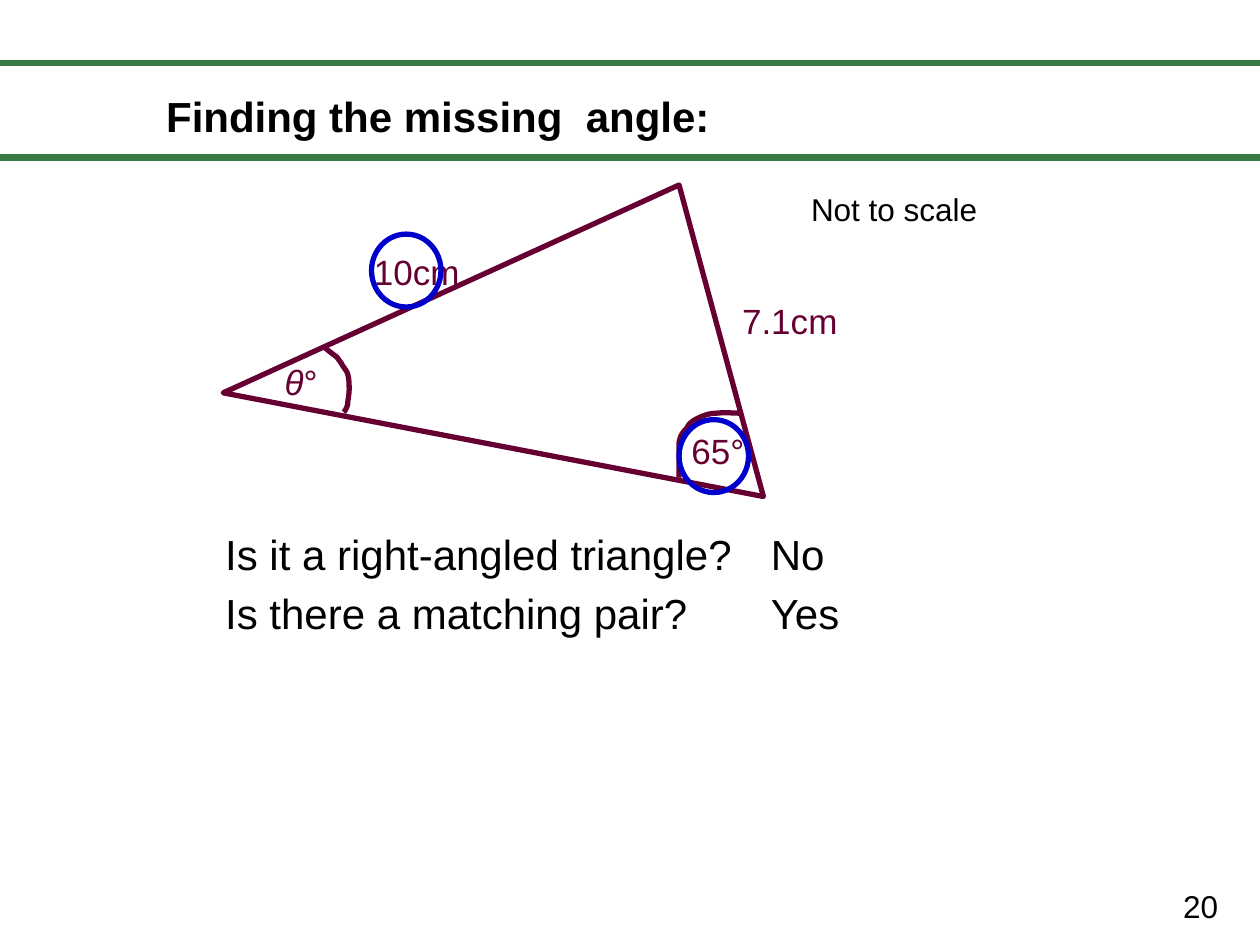
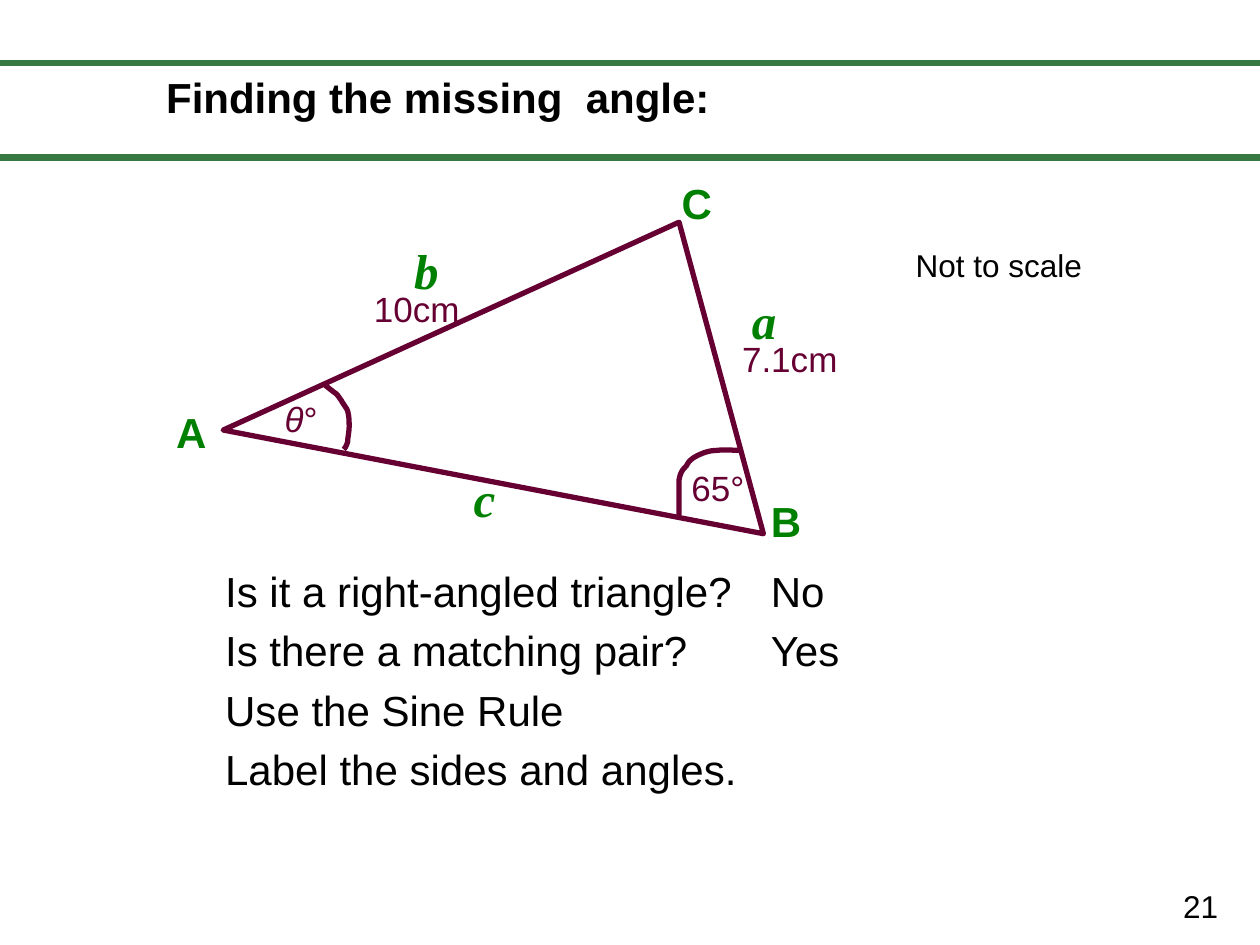
"""Build two slides on finding a missing angle with the sine rule."""
import pptx
import pptx.dml.color
import pptx.enum.shapes
import pptx.oxml.ns
import pptx.util
from lxml import etree

Cm, Pt = pptx.util.Cm, pptx.util.Pt
RGBColor = pptx.dml.color.RGBColor
BLACK = RGBColor(0x00, 0x00, 0x00)
BAND = RGBColor(0x37, 0x79, 0x40)
PLUM = RGBColor(0x66, 0x00, 0x33)
GREEN = RGBColor(0x00, 0x80, 0x00)
BLUE = RGBColor(0x00, 0x00, 0xCC)

BODY = {"name": "Arial", "size": Pt(24), "color": BLACK}
TITLE = {**BODY, "bold": True}
NOTE = {**BODY, "size": Pt(18)}
MEASURE = {**BODY, "size": Pt(20), "color": PLUM}
VERTEX = {**TITLE, "color": GREEN}
SIDE = {**VERTEX, "name": "Times New Roman", "size": Pt(28), "italic": True}

SLIDE_W, SLIDE_H = 25.4, 19.05
BAND_TOPS = (1.27, 3.18)
ROW_TOP, ROW_PITCH = 10.52, 1.2
QUESTION_X, ANSWER_X = 4.29, 15.29
TRIANGLE = [(4.5, 7.92), (13.69, 3.73), (15.39, 10.01)]
ARCS = [
    [(14.91, 8.33), (14.83, 8.33), (14.58, 8.31), (14.45, 8.33), (14.3, 8.33),
     (14.17, 8.38), (14.07, 8.43), (13.97, 8.48), (13.89, 8.53), (13.84, 8.64),
     (13.77, 8.71), (13.72, 8.76), (13.69, 8.92), (13.69, 9.09), (13.69, 9.47),
     (13.69, 9.63)],
    [(6.55, 7.01), (6.58, 7.04), (6.71, 7.14), (6.78, 7.19), (6.83, 7.24),
     (6.83, 7.26), (6.88, 7.32), (6.91, 7.39), (6.99, 7.47), (7.01, 7.54),
     (7.04, 7.65), (7.04, 7.75), (7.04, 7.85), (7.04, 7.95), (7.01, 8.08),
     (7.01, 8.15), (6.99, 8.23), (6.96, 8.28), (6.93, 8.31)],
]
MEASURES = [("10cm", 7.29, 4.93), ("7.1cm", 14.71, 5.92), ("65°", 13.69, 8.53), ("θ°", 5.49, 7.14)]
QUESTIONS = [("Is it a right-angled triangle?", "No"), ("Is there a matching pair?", "Yes")]

SLIDES = [
    {"number": "20", "title_top": 1.7, "shift": 0, "note": (16.1, 3.71),
     "rows": QUESTIONS, "rings": [(13.69, 8.46), (7.49, 4.72)],
     "vertices": [], "sides": []},
    {"number": "21", "title_top": 1.32, "shift": 0.75, "note": (18.21, 4.83),
     "rows": QUESTIONS + [("Use the Sine Rule", ""), ("Label the sides and angles.", "")],
     "rings": [],
     "vertices": [("A", 3.3, 8.08), ("B", 15.29, 9.86), ("C", 13.49, 3.45)],
     "sides": [("a", 14.91, 5.74), ("b", 8.1, 4.72), ("c", 9.3, 9.32)]},
]


def set_font(font, formats):
    for key, value in formats.items():
        if key == "color":
            font.color.rgb = value
        else:
            setattr(font, key, value)


def add_text(s, text, x, y, w, h, formats):
    tf = s.shapes.add_textbox(Cm(x), Cm(y), Cm(w), Cm(h)).text_frame
    tf.word_wrap = True
    p = tf.paragraphs[0]
    parts = [("θ", True), (text[1:], False)] if text.startswith("θ") else [(text, None)]
    for part, italic in parts:
        r = p.add_run()
        r.text = part
        set_font(r.font, formats if italic is None else {**formats, "italic": italic})


def add_outline(s, points, closed=False):
    corners = [(Cm(x), Cm(y)) for x, y in points]
    builder = s.shapes.build_freeform(*corners[0])
    builder.add_line_segments(corners[1:], close=closed)
    sp = builder.convert_to_shape()
    style_outline(sp, PLUM)


def style_outline(sp, color):
    sp.shadow.inherit = False
    sp.fill.background()
    sp.line.color.rgb = color
    sp.line.width = Pt(3)
    etree.SubElement(sp.line._get_or_add_ln(), pptx.oxml.ns.qn("a:round"))


def trace_curve(nodes, steps=8):
    points = [nodes[0]]
    for i in range(0, len(nodes) - 1, 3):
        for k in range(1, steps + 1):
            t = k / steps
            weights = ((1 - t) ** 3, 3 * t * (1 - t) ** 2, 3 * t * t * (1 - t), t ** 3)
            points.append(tuple(sum(c * n[axis] for c, n in zip(weights, nodes[i:i + 4]))
                                for axis in (0, 1)))
    return points


def add_frame(s, number, title_top):
    for y in BAND_TOPS:
        line = s.shapes.add_connector(pptx.enum.shapes.MSO_CONNECTOR.STRAIGHT,
                                      Cm(0), Cm(y), Cm(SLIDE_W), Cm(y))
        line.line.color.rgb = BAND
        line.line.width = Pt(4)
        etree.SubElement(line._element.spPr, pptx.oxml.ns.qn("a:effectLst"))
    add_text(s, number, 23.6, 17.75, 1.8, 1.02, NOTE)
    add_text(s, "Finding the missing  angle:", 3.1, title_top, 13, 1.27, TITLE)


def add_triangle(s, shift):
    def lower(points):
        return [(x, y + shift) for x, y in points]

    add_outline(s, lower(TRIANGLE), closed=True)
    for arc in ARCS:
        add_outline(s, lower(trace_curve(arc)))
    for text, x, y in MEASURES:
        add_text(s, text, x, y + shift, 2.59, 1.09, MEASURE)


def main():
    prs = pptx.Presentation()
    prs.slide_width, prs.slide_height = Cm(SLIDE_W), Cm(SLIDE_H)
    for content in SLIDES:
        s = prs.slides.add_slide(prs.slide_layouts[6])
        add_frame(s, content["number"], content["title_top"])
        add_triangle(s, content["shift"])
        for i, (question, answer) in enumerate(content["rows"]):
            y = ROW_TOP + content["shift"] + i * ROW_PITCH
            add_text(s, question, QUESTION_X, y, 11.6, 1.27, BODY)
            if answer:
                add_text(s, answer, ANSWER_X, y, 2.2, 1.27, BODY)
        for text, x, y in content["vertices"]:
            add_text(s, text, x, y, 1.4, 1.27, VERTEX)
        for text, x, y in content["sides"]:
            add_text(s, text, x, y, 1.02, 1.45, SIDE)
        for x, y in content["rings"]:
            ring = s.shapes.add_shape(pptx.enum.shapes.MSO_SHAPE.OVAL,
                                      Cm(x), Cm(y), Cm(1.4), Cm(1.47))
            style_outline(ring, BLUE)
        add_text(s, "Not to scale", *content["note"], 4.6, 1.02, NOTE)
    prs.save("out.pptx")


if __name__ == "__main__":
    main()
